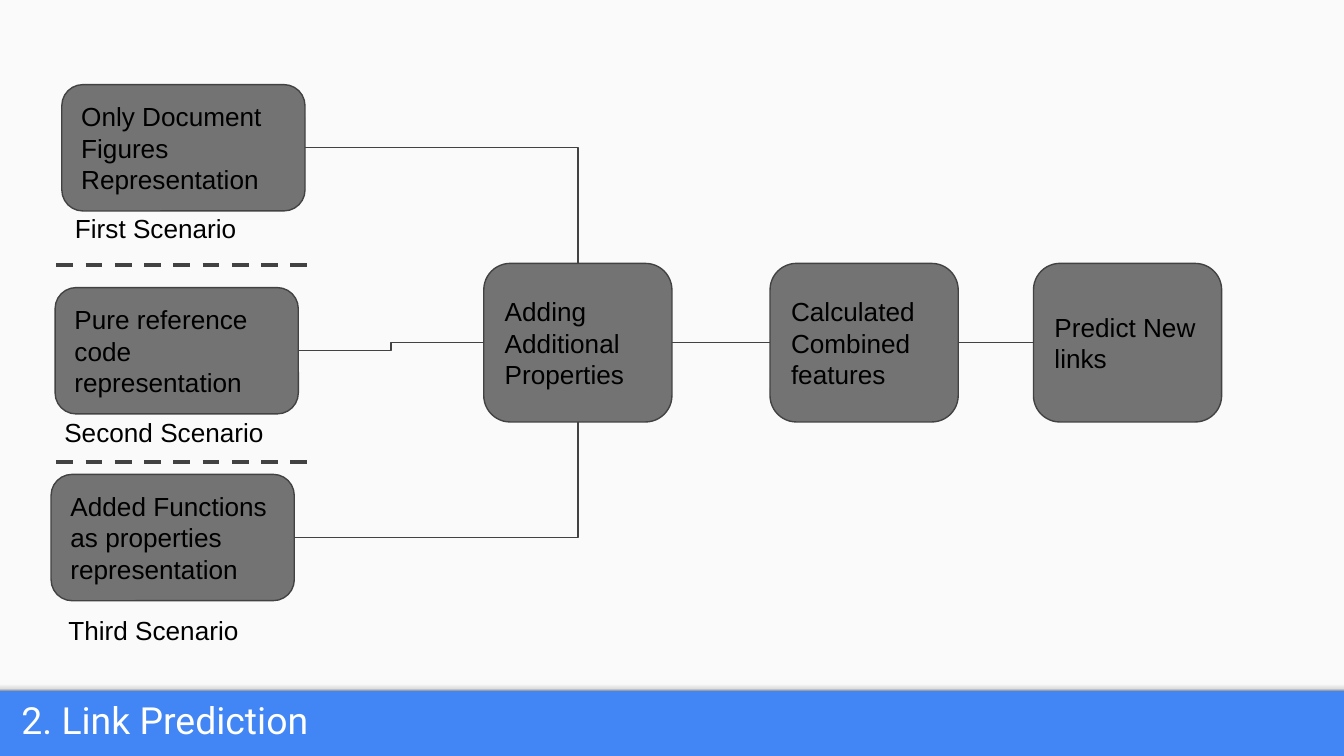
from copy import deepcopy

from pptx import Presentation
from pptx.dml.color import RGBColor
from pptx.enum.dml import MSO_LINE
from pptx.enum.shapes import MSO_CONNECTOR, MSO_SHAPE
from pptx.enum.text import MSO_ANCHOR, MSO_AUTO_SIZE, PP_ALIGN
from pptx.oxml.ns import qn
from pptx.oxml.xmlchemy import OxmlElement
from pptx.util import Inches, Pt

RECT, ROUND = MSO_SHAPE.RECTANGLE, MSO_SHAPE.ROUNDED_RECTANGLE
STRAIGHT, ELBOW = MSO_CONNECTOR.STRAIGHT, MSO_CONNECTOR.ELBOW
DASH = MSO_LINE.DASH
MIDDLE = MSO_ANCHOR.MIDDLE
NO_FIT = MSO_AUTO_SIZE.NONE
FLUSH = PP_ALIGN.LEFT
TOP, LEFT, BOTTOM, RIGHT = range(4)  # connection sites of a box

BLUE, PAPER, GREY, DARK = "4285F4", "FAFAFA", "737373", "424242"
BLACK, WHITE = "000000", "FFFFFF"
SHADE = [(0, "F9F9F9"), (0.36, "F9F9F9"), (0.8, "DEDEDE"), (1, "999999")]

# Scenario box: left, top, text; then its label: left, top, width, text
SCENES = [
    (0.46, 0.63, "Only Document Figures Representation",
     0.46, 1.48, 1.54, "First Scenario"),
    (0.41, 2.14, "Pure reference code representation",
     0.38, 3.0, 1.81, "Second Scenario"),
    (0.38, 3.53, "Added Functions as properties representation",
     0.41, 4.47, 1.81, "Third Scenario"),
]
STEPS = [
    (3.6, "Adding Additional Properties"),
    (5.73, "Calculated Combined features"),
    (7.69, "Predict New links"),
]


def rgb(code):
    return RGBColor.from_string(code)


def put_text(shape, text, size=14, font="Arial", color=BLACK):
    frame = shape.text_frame
    frame.text = text
    frame.word_wrap = True
    frame.margin_left = frame.margin_right = Inches(0.1)
    frame.margin_top = frame.margin_bottom = Inches(0.1)
    para = frame.paragraphs[0]
    para.alignment = FLUSH
    for run in para.runs:
        run.font.size = Pt(size)
        run.font.name = font
        run.font.color.rgb = rgb(color)
    return frame


def add_panel(slide, top, height):
    panel = slide.shapes.add_shape(
        RECT, 0, Inches(top), Inches(10), Inches(height))
    panel.shadow.inherit = False
    panel.line.fill.background()
    return panel


def add_shade(slide):
    fill = add_panel(slide, 5.06, 0.08).fill
    fill.gradient()
    fill.gradient_angle = 270
    first = fill.gradient_stops[0]._gs
    for _ in SHADE[2:]:
        first.addnext(deepcopy(first))
    for stop, (pos, color) in zip(fill.gradient_stops, SHADE):
        stop.position = pos
        stop.color.rgb = rgb(color)


def add_box(slide, left, top, width, height, text):
    box = slide.shapes.add_shape(
        ROUND, Inches(left), Inches(top), Inches(width), Inches(height))
    box.shadow.inherit = False
    box.fill.solid()
    box.fill.fore_color.rgb = rgb(GREY)
    box.line.color.rgb = rgb(DARK)
    box.line.width = Pt(0.75)
    put_text(box, text).vertical_anchor = MIDDLE
    return box


def add_label(slide, left, top, width, text):
    label = slide.shapes.add_textbox(
        Inches(left), Inches(top), Inches(width), Inches(0.44))
    put_text(label, text)


def add_line(slide, kind, ends=(0, 0, 0, 0), width=0.75):
    line = slide.shapes.add_connector(kind, *[Inches(n) for n in ends])
    line.line.color.rgb = rgb(DARK)
    line.line.width = Pt(width)
    line._element.spPr.append(OxmlElement("a:effectLst"))
    return line


def link(slide, start, end, site=LEFT, kind=STRAIGHT):
    line = add_line(slide, kind)
    line.begin_connect(start, RIGHT)
    line.end_connect(end, site)
    if site != LEFT:  # a single corner
        geom = line._element.spPr.find(qn("a:prstGeom"))
        geom.set("prst", "bentConnector2")


def add_title(slide, text):
    title = slide.shapes.title
    title._element.getparent().remove(title._element)
    body = slide.placeholders[1]
    body.left, body.top = Inches(0.06), Inches(5.14)
    body.width, body.height = Inches(9.17), Inches(0.49)
    frame = put_text(body, text, 20, "Roboto", WHITE)
    frame.auto_size = NO_FIT
    frame.vertical_anchor = MIDDLE
    para = frame.paragraphs[0]
    para.line_spacing = 0.8
    para.space_before = Pt(0)


def main():
    deck = Presentation()
    deck.slide_width = Inches(10)
    deck.slide_height = deck.slide_width * 9 // 16
    slide = deck.slides.add_slide(deck.slide_layouts[2])

    # Blue ground, light panel and its shaded edge
    ground = slide.background.fill
    ground.solid()
    ground.fore_color.rgb = rgb(BLUE)
    panel = add_panel(slide, 0, 5.14)
    panel.fill.solid()
    panel.fill.fore_color.rgb = rgb(PAPER)
    add_shade(slide)

    # Dashed lines between the scenarios
    for y in (1.97, 3.44):
        rule = add_line(slide, STRAIGHT, (0.42, y, 2.35, y), 2.25)
        rule.line.dash_style = DASH

    # Scenarios and steps
    scenes = []
    for left, top, text, *label in SCENES:
        add_label(slide, *label)
        scenes.append(add_box(slide, left, top, 1.81, 0.94, text))
    steps = [add_box(slide, left, 1.96, 1.4, 1.18, text)
             for left, text in STEPS]

    # Links into the first step, then from step to step
    for scene, site in zip(scenes, (TOP, LEFT, BOTTOM)):
        link(slide, scene, steps[0], site, ELBOW)
    for start, end in zip(steps, steps[1:]):
        link(slide, start, end)

    add_title(slide, "2. Link Prediction")
    deck.save("out.pptx")


if __name__ == "__main__":
    main()
